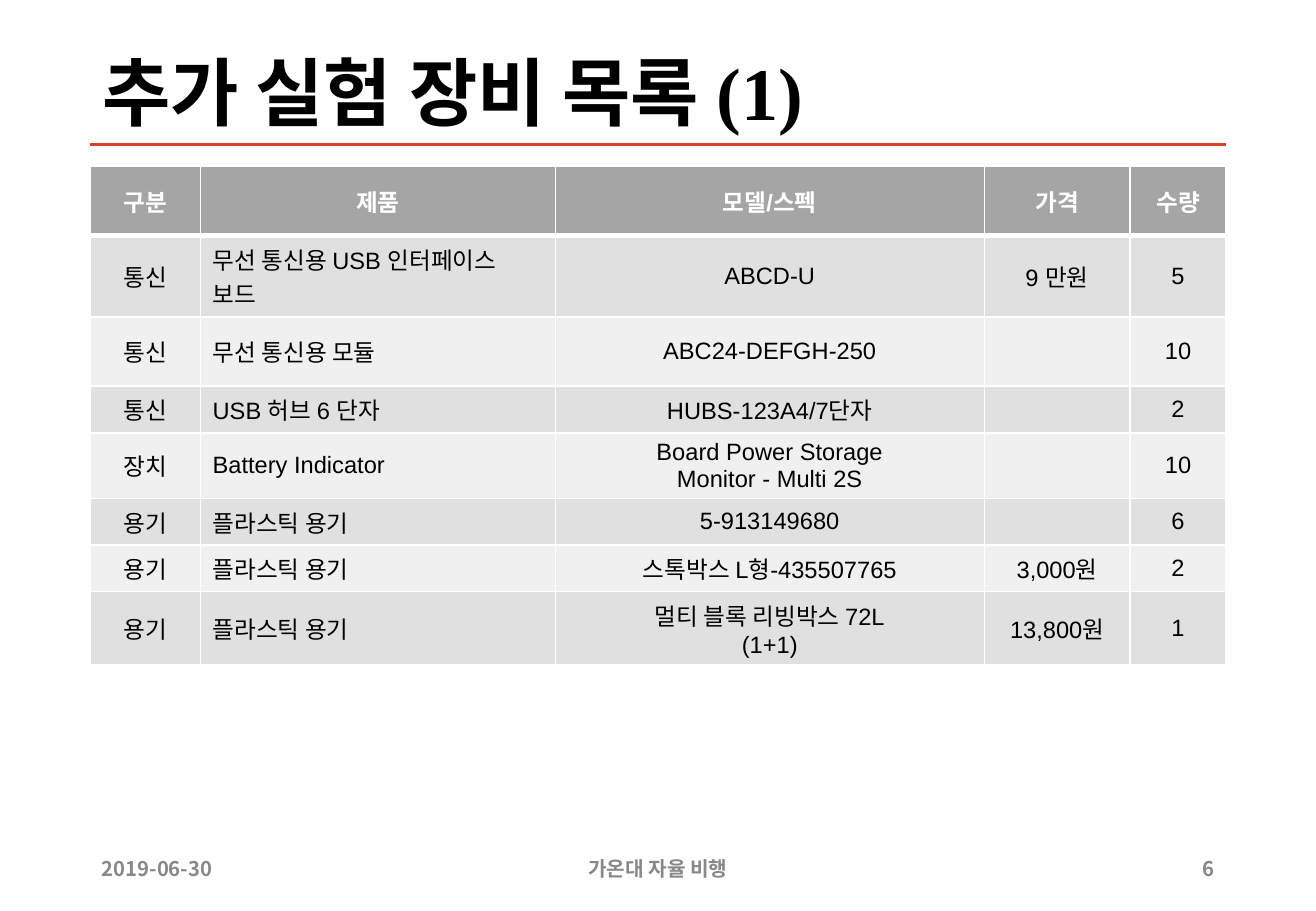
from lxml import etree
from pptx import Presentation, util as u
from pptx.dml.color import RGBColor
from pptx.enum import shapes, text
from pptx.oxml.ns import qn

HEAD = ["구분", "제품", "모델/스펙", "가격", "수량"]
ITEMS = [
    ("통신", "무선 통신용 USB 인터페이스 보드", "ABCD-U", "9 만원", "5"),
    ("통신", "무선 통신용 모듈", "ABC24-DEFGH-250", "", "10"),
    ("통신", "USB 허브 6 단자", "HUBS-123A4/7단자", "", "2"),
    ("장치", "Battery Indicator",
     "Board Power Storage\nMonitor - Multi 2S", "", "10"),
    ("용기", "플라스틱 용기", "5-913149680", "", "6"),
    ("용기", "플라스틱 용기", "스톡박스 L형-435507765", "3,000원", "2"),
    ("용기", "플라스틱 용기", "멀티 블록 리빙박스 72L\n(1+1)", "13,800원", "1"),
]
TITLE = "추가 실험 장비 목록 (1)"
COLS = [0.91, 2.92, 3.53, 1.2, 0.79]
ROWS = [0.57, 0.67, 0.57, 0.38, 0.54, 0.38, 0.38, 0.59]
LEFT, WIDE = 0.74, sum(COLS)
RIGHT = LEFT + WIDE
LEFT_AL, MID, RIGHT_AL = (text.PP_ALIGN.LEFT, text.PP_ALIGN.CENTER,
                          text.PP_ALIGN.RIGHT)
FOOT = [
    ("2019-06-30", LEFT, 1.27, LEFT_AL),
    ("가온대 자율 비행", LEFT + (WIDE - 3.66) / 2, 3.66, MID),
    ("6", RIGHT - 0.53, 0.53, RIGHT_AL),
]
SANS, KOR, SERIF = "Arial", "Noto Sans CJK KR", "Times New Roman"
BLACK, WHITE = RGBColor(0, 0, 0), RGBColor(255, 255, 255)
RUST, GREY = RGBColor(0xD2, 0x47, 0x26), RGBColor(0x88, 0x88, 0x88)
TOP = RGBColor(0xA5, 0xA5, 0xA5)
BANDS = [RGBColor(0xE0, 0xE0, 0xE0), RGBColor(0xF0, 0xF0, 0xF0)]


def write(frame, words, size=14, font=SANS, color=BLACK, bold=False,
          align=MID, space=None):
    frame.word_wrap = True
    frame.vertical_anchor = text.MSO_ANCHOR.MIDDLE
    for i, line in enumerate(words.split("\n")):
        para = frame.add_paragraph() if i else frame.paragraphs[0]
        para.alignment = align
        if space:
            para.line_spacing = space
        if not line:
            etree.SubElement(para._p, qn("a:endParaRPr"), sz=str(size * 100))
            continue
        run = para.add_run()
        run.text = line
        face = run.font
        face.size, face.name, face.bold = u.Pt(size), font, bold
        face.color.rgb = color
        etree.SubElement(face._element, qn("a:ea"), typeface=KOR)


def edge(cell, low):
    props = cell._tc.get_or_add_tcPr()
    for i, side in enumerate("LRTB"):
        wide = low if side == "B" else 1
        line = etree.Element(qn("a:ln" + side), w=str(u.Pt(wide)))
        fill = etree.SubElement(line, qn("a:solidFill"))
        etree.SubElement(fill, qn("a:srgbClr"), val=str(WHITE))
        props.insert(i, line)


def grid(slide):
    box = [u.Inches(n) for n in (LEFT, 1.37, WIDE, sum(ROWS))]
    table = slide.shapes.add_table(len(ROWS), len(COLS), *box).table
    for col, wide in zip(table.columns, COLS):
        col.width = u.Inches(wide)
    for r, (row, high) in enumerate(zip(table.rows, ROWS)):
        row.height = u.Inches(high)
        head = r == 0
        for c, words in enumerate(HEAD if head else ITEMS[r - 1]):
            cell = table.cell(r, c)
            cell.fill.solid()
            cell.fill.fore_color.rgb = TOP if head else BANDS[(r - 1) % 2]
            edge(cell, 3 if head else 1)
            write(cell.text_frame, words, bold=head,
                  color=WHITE if head else BLACK,
                  align=LEFT_AL if c == 1 and not head else MID)
            cell.vertical_anchor = text.MSO_ANCHOR.MIDDLE


def main():
    deck = Presentation()
    deck.slide_width, deck.slide_height = u.Inches(10.83), u.Inches(7.5)
    slide = deck.slides.add_slide(deck.slide_layouts[5])

    rule = slide.shapes.add_connector(
        shapes.MSO_CONNECTOR.STRAIGHT,
        *[u.Inches(n) for n in (LEFT, 1.19, RIGHT, 1.19)])
    rule.line.color.rgb, rule.line.width = RUST, u.Pt(2)
    etree.SubElement(rule._element.spPr, qn("a:effectLst"))

    title = slide.shapes.title
    title.left, title.top = u.Inches(LEFT), u.Inches(0.4)
    title.width, title.height = u.Inches(WIDE), u.Inches(0.79)
    title.text_frame.auto_size = text.MSO_AUTO_SIZE.NONE
    write(title.text_frame, TITLE, size=44, font=SERIF, bold=True,
          align=LEFT_AL, space=0.9)

    grid(slide)
    for words, left, wide, align in FOOT:
        box = slide.shapes.add_textbox(
            *[u.Inches(n) for n in (left, 6.95, wide, 0.4)])
        write(box.text_frame, words, size=12, font=KOR, color=GREY,
              bold=True, align=align)
    deck.save("out.pptx")


if __name__ == "__main__":
    main()
